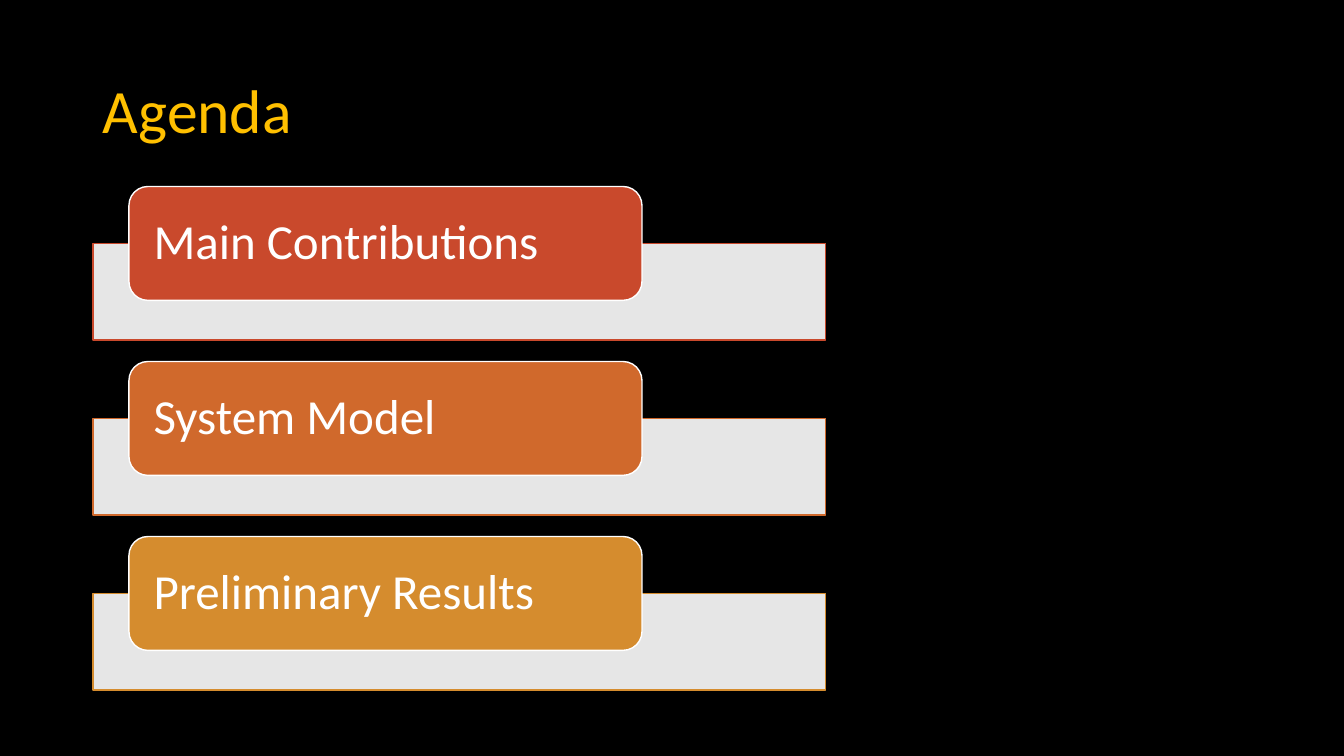
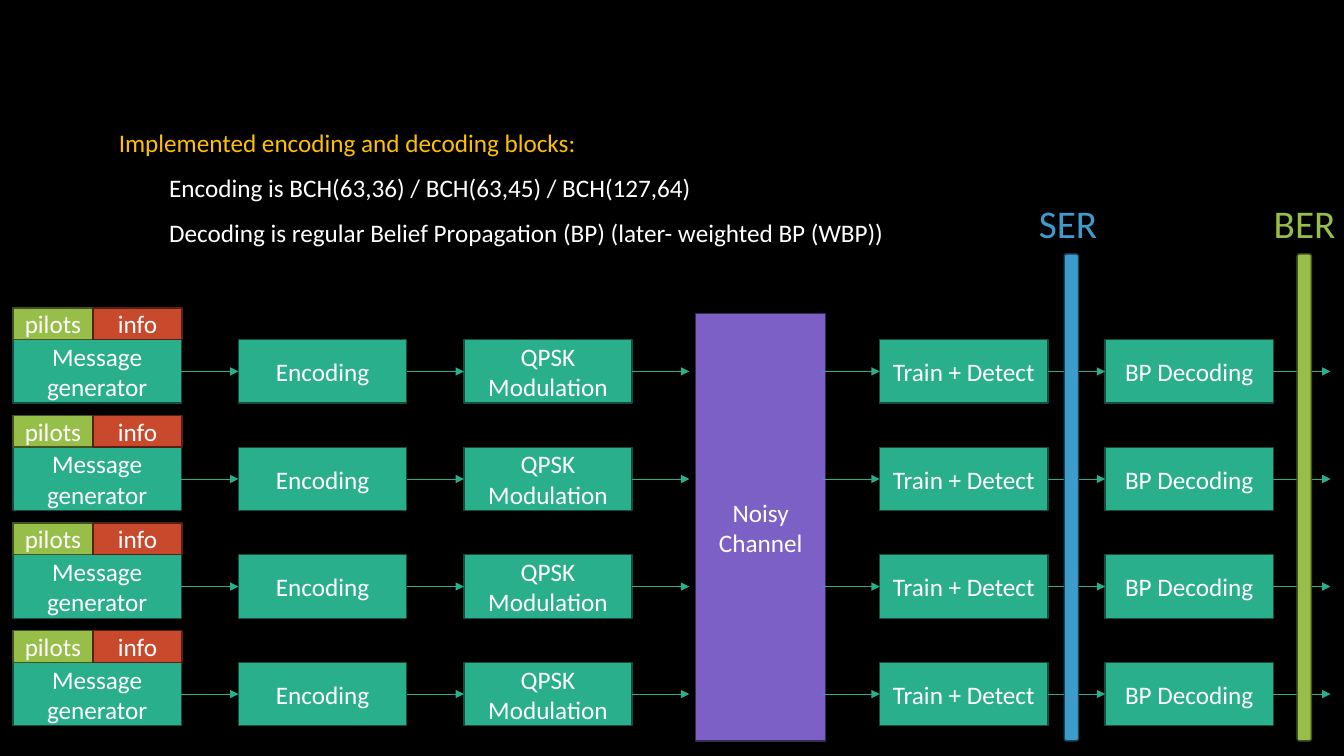
import pptx
import pptx.dml.color
import pptx.enum.shapes
import pptx.enum.text
import pptx.oxml.ns
import pptx.util
from lxml import etree

Cm = pptx.util.Cm
Pt = pptx.util.Pt
qn = pptx.oxml.ns.qn
SHAPE = pptx.enum.shapes.MSO_SHAPE
ALIGN = pptx.enum.text.PP_ALIGN
ANCHOR = pptx.enum.text.MSO_ANCHOR

# Shared style
FONT = "Calibri"
COLORS = {
    "background": "000000", "white": "FFFFFF", "heading": "FFC000",
    "red": "C9492C", "dark red": "582013",
    "orange": "D0692C", "amber": "D58C2E",
    "teal": "29AF8C", "dark teal": "124D3D",
    "green": "97BE49", "dark green": "425320",
    "purple": "7C60C6", "dark purple": "362A57",
    "blue": "3D9CCC", "dark blue": "1B4459",
}

# Block diagram grid, in centimetres
BLOCK_WIDTH, BLOCK_HEIGHT = 4.24, 1.6
ARROW_LENGTH = 1.44
COLUMN_PITCH = BLOCK_WIDTH + ARROW_LENGTH
FIRST_ROW, ROW_PITCH, ROW_COUNT = 8.56, 2.71, 4
SENDER_LEFT, RECEIVER_LEFT = 0.33, 22.17
SENDER_STEPS = ["Message generator", "Encoding", "QPSK Modulation"]
RECEIVER_STEPS = ["Train + Detect", "BP Decoding"]


def rgb(name):
    return pptx.dml.color.RGBColor.from_string(COLORS[name])


def format_paragraph(paragraph, size, color, align=ALIGN.LEFT, line_spacing=None):
    paragraph.alignment = align
    if line_spacing:
        paragraph.line_spacing = line_spacing
    for run in paragraph.runs:
        run.font.name = FONT
        run.font.size = Pt(size)
        run.font.color.rgb = rgb(color)


def place(shape, left, top, width, height):
    shape.left, shape.top = Cm(left), Cm(top)
    shape.width, shape.height = Cm(width), Cm(height)


def add_box(slide, kind, left, top, width, height, fill, line):
    shape = slide.shapes.add_shape(kind, Cm(left), Cm(top), Cm(width), Cm(height))
    shape.shadow.inherit = False
    shape.fill.solid()
    shape.fill.fore_color.rgb = rgb(fill)
    shape.line.color.rgb = rgb(line)
    shape.line.width = Pt(1)
    return shape


def set_box_text(shape, text, size=18, align=ALIGN.CENTER, side_margin=0.1,
                 line_spacing=None):
    frame = shape.text_frame
    frame.word_wrap = True
    frame.vertical_anchor = ANCHOR.MIDDLE
    frame.margin_left = frame.margin_right = Cm(side_margin)
    frame.margin_top = frame.margin_bottom = 0
    frame.text = text
    format_paragraph(frame.paragraphs[0], size, "white", align, line_spacing)


def add_block(slide, text, left, top, width, height, color):
    block = add_box(slide, SHAPE.RECTANGLE, left, top, width, height,
                    color, "dark " + color)
    set_box_text(block, text)
    return block


def add_arrow(slide, left, middle, source=None, target=None):
    arrow = slide.shapes.add_connector(
        pptx.enum.shapes.MSO_CONNECTOR.STRAIGHT,
        Cm(left), Cm(middle), Cm(left + ARROW_LENGTH), Cm(middle))
    if source is not None:
        arrow.begin_connect(source, 3)
    if target is not None:
        arrow.end_connect(target, 1)
    arrow.line.color.rgb = rgb("teal")
    arrow.line.width = Pt(0.5)
    etree.SubElement(arrow.line._get_or_add_ln(), qn("a:tailEnd"), type="triangle")
    etree.SubElement(arrow._element.spPr, qn("a:effectLst"))


def add_chain(slide, steps, left, top):
    """Add a row of blocks, with an arrow after each; return the first block."""
    blocks = [add_block(slide, step, left + column * COLUMN_PITCH, top,
                        BLOCK_WIDTH, BLOCK_HEIGHT, "teal")
              for column, step in enumerate(steps)]
    for column, (block, following) in enumerate(zip(blocks, blocks[1:] + [None])):
        add_arrow(slide, left + column * COLUMN_PITCH + BLOCK_WIDTH,
                  top + BLOCK_HEIGHT / 2, block, following)
    return blocks[0]


def add_measure(slide, text, color, bar_left, label_left):
    """Add a vertical bar with its label above."""
    add_box(slide, SHAPE.ROUNDED_RECTANGLE, bar_left, 6.4, 0.36, 12.27,
            color, "dark " + color)
    label = slide.shapes.add_textbox(Cm(label_left), Cm(4.91), Cm(2), Cm(1.45))
    frame = label.text_frame
    frame.word_wrap = True
    frame.margin_right = 0
    frame.text = text
    format_paragraph(frame.paragraphs[0], 28, color)


def set_title(slide, text):
    title = slide.shapes.title
    place(title, 2.34, 1.02, 29.21, 3.68)
    title.text_frame.text = text
    title.text_frame.vertical_anchor = ANCHOR.MIDDLE
    format_paragraph(title.text_frame.paragraphs[0], 44, "heading", line_spacing=0.9)


def set_list(body, heading, items):
    frame = body.text_frame
    frame.auto_size = pptx.enum.text.MSO_AUTO_SIZE.NONE
    frame.text = "\n".join([heading] + items)
    for index, paragraph in enumerate(frame.paragraphs):
        format_paragraph(paragraph, 18, "white" if index else "heading",
                         line_spacing=1.5)
        paragraph.space_before = Pt(0)
        properties = paragraph._p.get_or_add_pPr()
        properties.set("marL", str(Cm(1.27) if index else 0))
        properties.set("indent", "0")
        etree.SubElement(properties, qn("a:buNone"))


def add_agenda_item(slide, text, color, top):
    panel = add_box(slide, SHAPE.RECTANGLE, 2.34, top + 1.43, 18.47, 2.44,
                    "white", color)
    panel_color = panel._element.spPr.find(qn("a:solidFill"))[0]
    etree.SubElement(panel_color, qn("a:alpha"), val="90000")
    button = add_box(slide, SHAPE.ROUNDED_RECTANGLE, 3.25, top, 12.93, 2.87,
                     color, "white")
    set_box_text(button, text, 35, ALIGN.LEFT, 0.48, 0.9)


def build_agenda(presentation):
    slide = presentation.slides.add_slide(presentation.slide_layouts[5])
    set_title(slide, "Agenda")
    items = [("Main Contributions", "red"), ("System Model", "orange"),
             ("Preliminary Results", "amber")]
    for index, (text, color) in enumerate(items):
        add_agenda_item(slide, text, color, 4.7 + index * 4.41)


def build_system_model(presentation):
    slide = presentation.slides.add_slide(presentation.slide_layouts[1])
    title = slide.shapes.title._element
    title.getparent().remove(title)

    # Introductory list
    body = slide.placeholders[1]
    place(body, 2.74, 2.69, 21.23, 4.75)
    set_list(body, "Implemented encoding and decoding blocks:", [
        "Encoding is BCH(63,36) / BCH(63,45) / BCH(127,64)",
        "Decoding is regular Belief Propagation (BP) (later- weighted BP (WBP))",
    ])

    # Parallel transmission rows through one channel
    add_block(slide, "Noisy Channel", 17.53, 7.9, 3.28, 10.77, "purple")
    for row in range(ROW_COUNT):
        top = FIRST_ROW + row * ROW_PITCH
        add_chain(slide, SENDER_STEPS, SENDER_LEFT, top)
        add_block(slide, "pilots", SENDER_LEFT, top - 0.8, 2.01, 0.8, "green")
        add_block(slide, "info", SENDER_LEFT + 2.01, top - 0.8, 2.25, 0.8, "red")
        detector = add_chain(slide, RECEIVER_STEPS, RECEIVER_LEFT, top)
        add_arrow(slide, RECEIVER_LEFT - ARROW_LENGTH, top + BLOCK_HEIGHT / 2,
                  target=detector)

    # Error rate measuring points
    add_measure(slide, "SER", "blue", 26.82, 25.93)
    add_measure(slide, "BER", "green", 32.69, 31.85)


def main():
    presentation = pptx.Presentation()
    presentation.slide_width = Cm(33.87)
    presentation.slide_height = Cm(19.05)
    background = presentation.slide_master.background.fill
    background.solid()
    background.fore_color.rgb = rgb("background")
    build_agenda(presentation)
    build_system_model(presentation)
    presentation.save("out.pptx")


if __name__ == "__main__":
    main()
